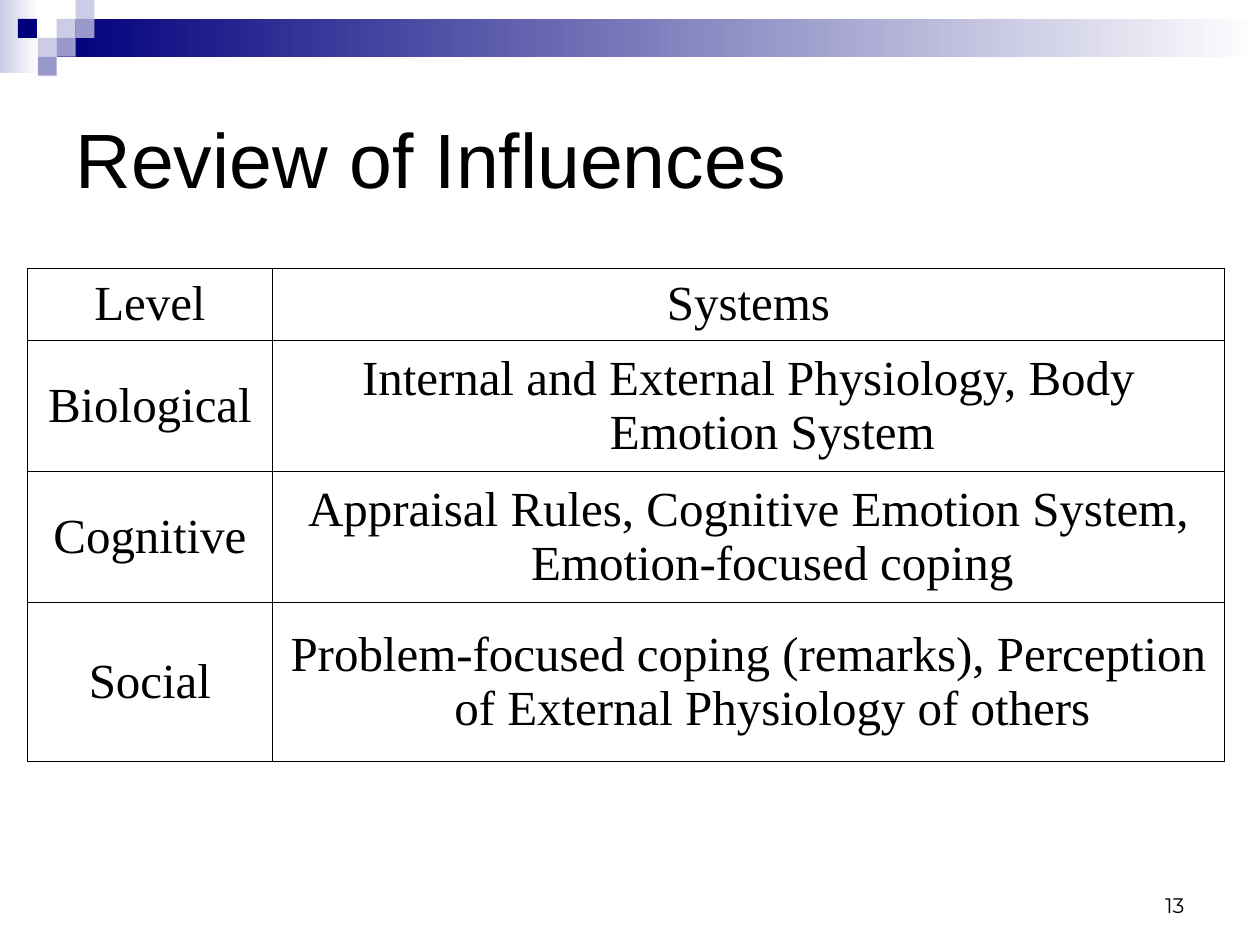
from dataclasses import dataclass

from lxml import etree
from pptx import Presentation
from pptx.dml.color import RGBColor
from pptx.enum.shapes import MSO_SHAPE
from pptx.enum.text import MSO_ANCHOR, MSO_AUTO_SIZE, PP_ALIGN
from pptx.oxml.ns import qn
from pptx.util import Inches, Pt

RECTANGLE = MSO_SHAPE.RECTANGLE
MIDDLE, BOTTOM = MSO_ANCHOR.MIDDLE, MSO_ANCHOR.BOTTOM
LEFT, CENTER, RIGHT = PP_ALIGN.LEFT, PP_ALIGN.CENTER, PP_ALIGN.RIGHT
NO_AUTOFIT = MSO_AUTO_SIZE.NONE
TITLE_ONLY = 5


@dataclass(frozen=True)
class Theme:
    ink: str = "000000"
    paper: str = "FFFFFF"
    navy: str = "00007D"
    lavender: str = "CCCCE6"
    periwinkle: str = "9999CC"
    title_font: str = "Arial"
    table_font: str = "Times New Roman"
    number_font: str = "Montserrat"
    title_size: float = 44
    table_size: float = 28
    number_size: float = 12
    border_width: float = 0.45


THEME = Theme()

ROWS = [
    ("Level", "Systems"),
    ("Biological", "Internal and External Physiology, Body Emotion System"),
    ("Cognitive", "Appraisal Rules, Cognitive Emotion System, Emotion-focused coping"),
    ("Social", "Problem-focused coping (remarks), Perception of External Physiology of others"),
]
COLUMN_WIDTHS = (1.94, 7.56)
ROW_HEIGHTS = (0.57, 1.04, 1.04, 1.26)


def set_values(target, values):
    for name, value in values.items():
        setattr(target, name, value)


def place(shape, box):
    names = ("left", "top", "width", "height")
    set_values(shape, dict(zip(names, map(Inches, box))))


def write_text(frame, text, font, size, align):
    para = frame.paragraphs[0]
    para.alignment = align
    span = para.add_run()
    span.text = text
    set_values(span.font, {"name": font, "size": Pt(size)})
    span.font.color.rgb = RGBColor.from_string(THEME.ink)
    return para


def add_block(page, box, color, fade=False):
    block = page.shapes.add_shape(RECTANGLE, *map(Inches, box))
    block.shadow.inherit = False
    block.line.fill.background()
    if fade:
        block.fill.gradient()
        block.fill.gradient_angle = 180
        for stop, tone in zip(block.fill.gradient_stops, (THEME.paper, color)):
            stop.color.rgb = RGBColor.from_string(tone)
    else:
        block.fill.solid()
        block.fill.fore_color.rgb = RGBColor.from_string(color)


def add_banner(page, box):
    left, top, width, height = box
    step = 0.15
    add_block(page, (left, top, 0.31, height), THEME.lavender, fade=True)
    add_block(page, (left + 3 * step, top + step, width - 3 * step, 2 * step),
              THEME.navy, fade=True)
    tiles = [
        (3, 1, THEME.lavender),
        (4, 0, THEME.lavender),
        (4, 1, THEME.periwinkle),
        (2, 2, THEME.lavender),
        (0.95, 1, THEME.navy),
        (3, 2, THEME.periwinkle),
        (2, 3, THEME.periwinkle),
    ]
    for column, row, color in tiles:
        add_block(page, (left + column * step, top + row * step, step, step), color)


def add_title(page, box):
    title = page.shapes.title
    place(title, box)
    set_values(title.text_frame, {
        "word_wrap": True, "auto_size": NO_AUTOFIT, "vertical_anchor": MIDDLE,
    })
    write_text(title.text_frame, "Review of Influences",
               THEME.title_font, THEME.title_size, LEFT)


def draw_borders(cell):
    properties = cell._tc.get_or_add_tcPr()
    for index, side in enumerate(("a:lnL", "a:lnR", "a:lnT", "a:lnB")):
        line = etree.Element(qn(side), w=str(Pt(THEME.border_width)))
        fill = etree.SubElement(line, qn("a:solidFill"))
        etree.SubElement(fill, qn("a:srgbClr"), val=THEME.ink)
        properties.insert(index, line)


def add_influence_table(page, box):
    frame = page.shapes.add_table(len(ROWS), len(COLUMN_WIDTHS), *map(Inches, box))
    table = frame.table
    set_values(table, {"first_row": False, "horz_banding": False})
    for column, width in zip(table.columns, COLUMN_WIDTHS):
        column.width = Inches(width)
    for row, height, texts in zip(table.rows, ROW_HEIGHTS, ROWS):
        row.height = Inches(height)
        for cell, text in zip(row.cells, texts):
            cell.vertical_anchor = MIDDLE
            cell.fill.background()
            draw_borders(cell)
            para = write_text(cell.text_frame, text,
                              THEME.table_font, THEME.table_size, CENTER)
            indent = Inches(0.38)
            properties = para._p.get_or_add_pPr()
            properties.set("marL", str(indent))
            properties.set("indent", str(-indent))


def add_page_number(page, box):
    number = page.shapes.add_textbox(*map(Inches, box))
    set_values(number.text_frame, {"word_wrap": True, "vertical_anchor": BOTTOM})
    write_text(number.text_frame, "13", THEME.number_font, THEME.number_size, RIGHT)


def main():
    deck = Presentation()
    set_values(deck, {"slide_width": Inches(10), "slide_height": Inches(7.5)})
    page = deck.slides.add_slide(deck.slide_layouts[TITLE_ONLY])
    add_banner(page, (0, 0, 10, 0.58))
    add_title(page, (0.5, 0.5, 9, 1.5))
    add_influence_table(page, (0.22, 2.13, sum(COLUMN_WIDTHS), sum(ROW_HEIGHTS)))
    add_page_number(page, (7.17, 6.83, 2.33, 0.5))
    deck.save("out.pptx")


if __name__ == "__main__":
    main()
